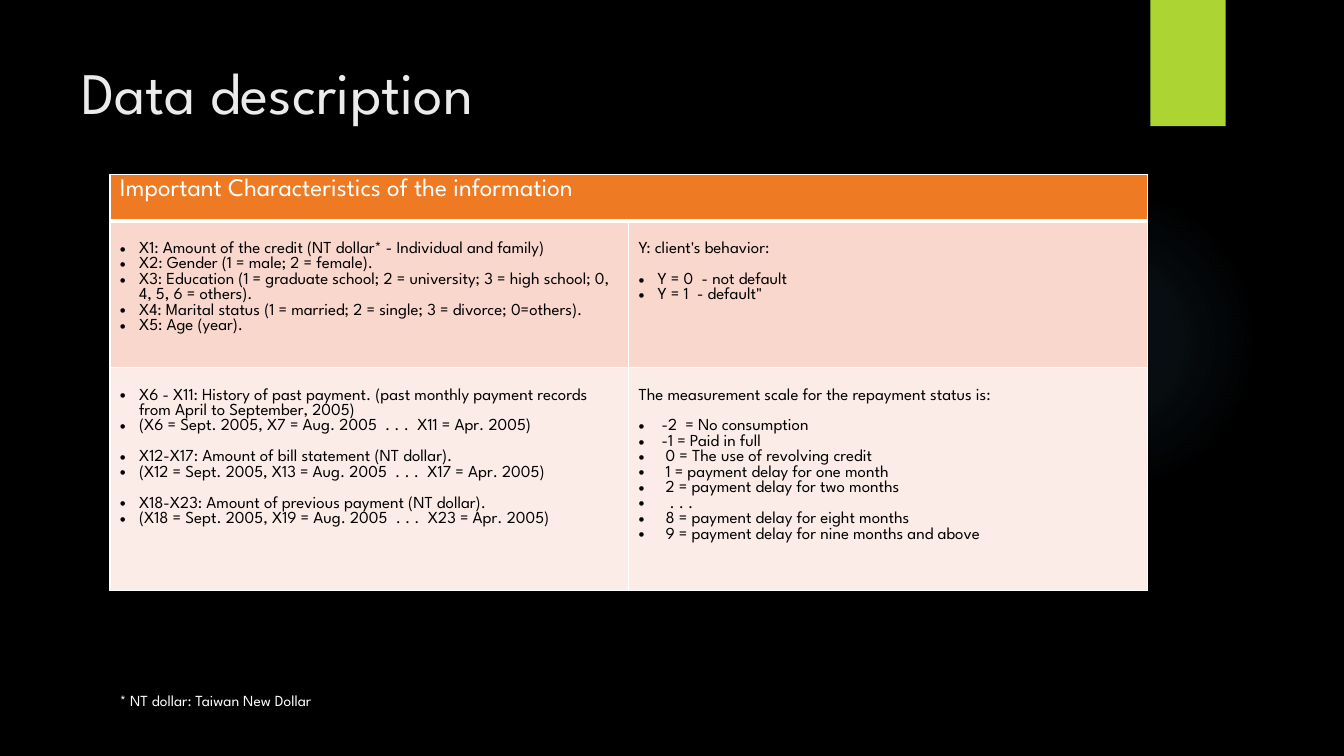
from lxml import etree
from pptx import Presentation
from pptx.dml.color import RGBColor
from pptx.enum.shapes import MSO_SHAPE
from pptx.enum.text import MSO_ANCHOR
from pptx.oxml import parse_xml
from pptx.oxml.ns import nsdecls, qn
from pptx.util import Cm, Pt

FACE = "League Spartan"
WHITE = "FFFFFF"
BLACK = "000000"
HANG = 0.48
GAP = Pt(11)

# Body items: (text, bulleted, gap above, extra indent in cm)
PERSON = [
    ("X1: Amount of the credit (NT dollar* - Individual and family)", True, False, 0),
    ("X2: Gender (1 = male; 2 = female).", True, False, 0),
    ("X3: Education (1 = graduate school; 2 = university; 3 = high school; "
     "0, 4, 5, 6 = others).", True, False, 0),
    ("X4: Marital status (1 = married; 2 = single; 3 = divorce; 0=others).", True, False, 0),
    ("X5: Age (year).", True, False, 0),
]
TARGET = [
    ("Y: client's behavior:", False, False, 0),
    ("Y = 0  - not default", True, True, 0),
    ("Y = 1  - default\"", True, False, 0),
]
HISTORY = [
    ("X6 - X11: History of past payment. (past monthly payment records "
     "from April to September, 2005)", True, False, 0),
    ("(X6 = Sept. 2005, X7 = Aug. 2005  . . .  X11 = Apr. 2005)", True, False, 0),
    ("X12-X17: Amount of bill statement (NT dollar).", True, True, 0),
    ("(X12 = Sept. 2005, X13 = Aug. 2005  . . .  X17 = Apr. 2005)", True, False, 0),
    ("X18-X23: Amount of previous payment (NT dollar).", True, True, 0),
    ("(X18 = Sept. 2005, X19 = Aug. 2005  . . .  X23 = Apr. 2005)", True, False, 0),
]
SCALE = [
    ("The measurement scale for the repayment status is:", False, False, 0),
    ("-2  = No consumption", True, True, 0.1),
    ("-1 = Paid in full", True, False, 0.1),
    ("0 = The use of revolving credit", True, False, 0.2),
    ("1 = payment delay for one month", True, False, 0.2),
    ("2 = payment delay for two months", True, False, 0.2),
    (". . .", True, False, 0.3),
    ("8 = payment delay for eight months", True, False, 0.2),
    ("9 = payment delay for nine months and above", True, False, 0.2),
]
ROWS = [("F9D7CD", PERSON, TARGET), ("FCECE8", HISTORY, SCALE)]


def tint(code):
    return RGBColor.from_string(code)


def write(para, text, size, color):
    run = para.add_run()
    run.text = text
    look = {"name": FACE, "size": Pt(size)}
    for key, value in look.items():
        setattr(run.font, key, value)
    run.font.color.rgb = tint(color)


def label(slide, box, text, size, color, **look):
    frame = slide.shapes.add_textbox(*map(Cm, box)).text_frame
    for key, value in {"word_wrap": True, **look}.items():
        setattr(frame, key, value)
    write(frame.paragraphs[0], text, size, color)


def block(slide, kind, box):
    """Add a preset shape without outline or shadow."""
    shape = slide.shapes.add_shape(kind, *map(Cm, box))
    shape.line.fill.background()
    shape.shadow.inherit = False
    return shape


def glow(slide, box, color, stops):
    """Add a round gradient that fades out; stops are (place, opacity) in percent."""
    shape = block(slide, MSO_SHAPE.OVAL, box)
    marks = "".join(
        f'<a:gs pos="{pos * 1000}"><a:srgbClr val="{color}">'
        f'<a:alpha val="{alpha * 1000}"/></a:srgbClr></a:gs>'
        for pos, alpha in stops)
    fill = parse_xml(
        f'<a:gradFill {nsdecls("a")}><a:gsLst>{marks}</a:gsLst><a:path path="circle">'
        '<a:fillToRect l="50000" t="50000" r="50000" b="50000"/></a:path></a:gradFill>')
    shape.element.spPr.find(qn("a:prstGeom")).addnext(fill)


def edge(cell, base):
    """Draw white borders, with the bottom one base points wide."""
    props = cell._tc.get_or_add_tcPr()
    widths = {"lnL": 1, "lnR": 1, "lnT": 1, "lnB": base}
    for at, (tag, width) in enumerate(widths.items()):
        line = etree.Element(qn(f"a:{tag}"), w=str(Pt(width)))
        fill = etree.SubElement(line, qn("a:solidFill"))
        etree.SubElement(fill, qn("a:srgbClr"), val=WHITE)
        props.insert(at, line)


def paint(cell, color, base=1):
    cell.fill.solid()
    cell.fill.fore_color.rgb = tint(color)
    edge(cell, base)


def bullet(para, extra):
    props = para._p.get_or_add_pPr()
    left = Cm(HANG + extra)
    props.set("marL", str(left))
    props.set("indent", str(-left))
    etree.SubElement(props, qn("a:buFont"), typeface="Arial")
    etree.SubElement(props, qn("a:buChar"), char="•")


def items(cell, lines):
    cell.margin_top = Cm(0.52)
    frame = cell.text_frame
    for at, (text, dot, gap, extra) in enumerate(lines):
        para = frame.add_paragraph() if at else frame.paragraphs[0]
        if gap:
            para.space_before = GAP
        if dot:
            bullet(para, extra)
        write(para, text, 12, BLACK)


def grid(slide):
    highs = [1.18, 3.35, 4.94]
    box = map(Cm, (2.77, 4.39, 26.14, sum(highs)))
    table = slide.shapes.add_table(len(highs), 2, *box).table
    for key in ("first_row", "horz_banding"):
        setattr(table, key, False)
    for row, high in zip(table.rows, highs):
        row.height = Cm(high)
    head = table.cell(0, 0)
    head.merge(table.cell(0, 1))
    for col in range(2):
        paint(table.cell(0, col), "EF7A24", 3)
    write(head.text_frame.paragraphs[0],
          "Important Characteristics of the information", 18, WHITE)
    for row, (color, *texts) in enumerate(ROWS, 1):
        for col, lines in enumerate(texts):
            cell = table.cell(row, col)
            paint(cell, color)
            items(cell, lines)


def main():
    deck = Presentation()
    deck.slide_width, deck.slide_height = Cm(33.87), Cm(19.05)
    slide = deck.slides.add_slide(deck.slide_layouts[6])
    slide.background.fill.solid()
    slide.background.fill.fore_color.rgb = tint(BLACK)

    glow(slide, (23.9, 4.65, 7.82, 7.82), "7AC4F0", [(0, 7), (36, 6), (69, 0)])
    flag = block(slide, MSO_SHAPE.RECTANGLE, (28.99, 0, 1.9, 3.18))
    flag.fill.solid()
    flag.fill.fore_color.rgb = tint("ACD433")

    label(slide, (1.8, 1.27, 26.14, 1.9), "Data description", 42, "EBEBEB",
          vertical_anchor=MSO_ANCHOR.BOTTOM, margin_bottom=0)
    grid(slide)
    label(slide, (2.77, 17.3, 6.15, 0.74), "* NT dollar: Taiwan New Dollar", 11, WHITE)
    deck.save("out.pptx")


if __name__ == "__main__":
    main()
